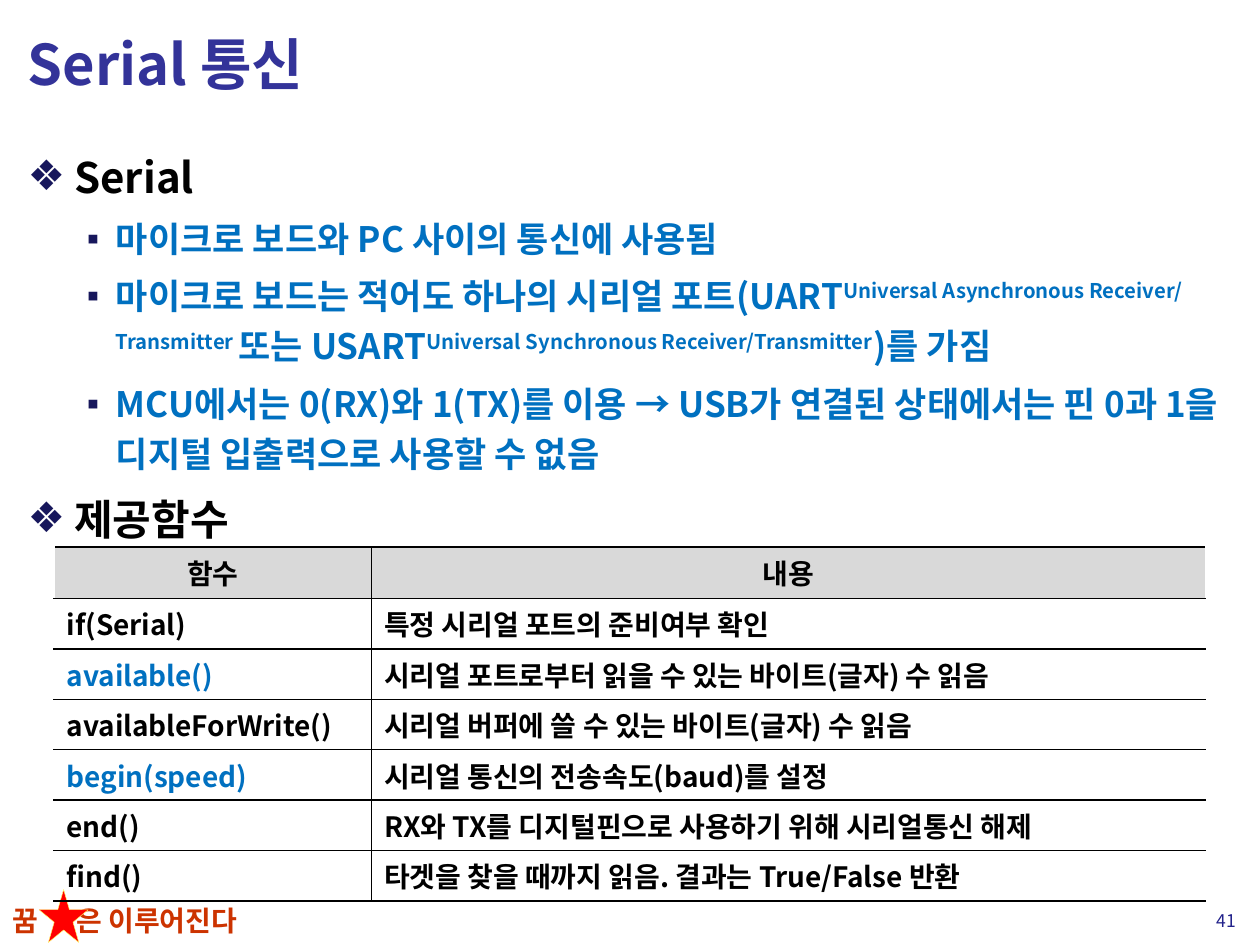
from lxml import etree
from pptx import Presentation
from pptx.dml.color import RGBColor
from pptx.enum.shapes import MSO_SHAPE
from pptx.enum.text import MSO_ANCHOR, MSO_AUTO_SIZE, PP_ALIGN
from pptx.oxml.ns import qn
from pptx.util import Inches, Pt

FONT = "Noto Sans CJK KR"
COLORS = {
    "title": "333399", "text": "000000", "accent": "0070C0", "bullet": "17175C",
    "slogan": "CC3300", "number": "22228B", "header": "D9D9D9",
    "star": "FF0000", "star_line": "FFFF66", "line": "000000", "edge": "FFFFFF",
}
TITLE = "Serial 통신"
# (level, runs); each run is (text, is superscript), "\n" ends a line
BODY = [
    (0, [("Serial", False)]),
    (1, [("마이크로 보드와 PC 사이의 통신에 사용됨", False)]),
    (1, [("마이크로 보드는 적어도 하나의 시리얼 포트(UART", False),
         ("Universal Asynchronous Receiver/\nTransmitter ", True),
         ("또는 USART", False),
         ("Universal Synchronous Receiver/Transmitter", True),
         (")를 가짐", False)]),
    (1, [("MCU에서는 0(RX)와 1(TX)를 이용 → USB가 연결된 상태에서는 "
          "핀 0과 1을 디지털 입출력으로 사용할 수 없음", False)]),
    (0, [("제공함수", False)]),
]
LEVELS = [
    {"bullet": "❖", "left": 0.37, "hang": 0.37, "size": 24, "color": "text"},
    {"bullet": "▪", "left": 0.7, "hang": 0.23, "size": 20, "color": "accent"},
]
FUNCTIONS = [
    ("함수", "내용"),
    ("if(Serial)", "특정 시리얼 포트의 준비여부 확인"),
    ("available()", "시리얼 포트로부터 읽을 수 있는 바이트(글자) 수 읽음"),
    ("availableForWrite()", "시리얼 버퍼에 쓸 수 있는 바이트(글자) 수 읽음"),
    ("begin(speed)", "시리얼 통신의 전송속도(baud)를 설정"),
    ("end()", "RX와 TX를 디지털핀으로 사용하기 위해 시리얼통신 해제"),
    ("find()", "타겟을 찾을 때까지 읽음. 결과는 True/False 반환"),
]
HIGHLIGHTED = {"available()", "begin(speed)"}
COLUMN_WIDTHS = (2.52, 6.62)
HEADER_HEIGHT, ROW_HEIGHT = 0.41, 0.4
SLOGAN = [("꿈", 0, 0.5), ("은 이루어진다", 0.51, 1.97)]


def rgb(name):
    return RGBColor.from_string(COLORS[name])


def box(left, top, width, height):
    return [Inches(v) for v in (left, top, width, height)]


def add_text(p, text, size=16, color="text", bold=True, raised=False):
    """Add text as runs without pair kerning, one run per line."""
    for i, line in enumerate(text.split("\n")):
        if i:
            p.add_line_break()
        r = p.add_run()
        r.text = line
        font = r.font
        font.name, font.size, font.bold = FONT, Pt(size), bold
        font.color.rgb = rgb(color)
        rPr = font._element
        rPr.set("kern", "0")
        rPr.find(qn("a:latin")).addnext(etree.Element(qn("a:ea"), typeface=FONT))
        if raised:
            rPr.set("baseline", "30000")


def set_bullet(p, level):
    pPr = p._p.get_or_add_pPr()
    pPr.set("marL", str(Inches(level["left"])))
    pPr.set("indent", str(-Inches(level["hang"])))
    color = etree.SubElement(pPr, qn("a:buClr"))
    etree.SubElement(color, qn("a:srgbClr"), val=COLORS["bullet"])
    etree.SubElement(pPr, qn("a:buChar"), char=level["bullet"])


def set_borders(cell, **sides):
    tcPr = cell._tc.get_or_add_tcPr()
    for side in "LRTB":
        ln = etree.SubElement(tcPr, qn(f"a:ln{side}"), w=str(Pt(1)))
        fill = etree.SubElement(ln, qn("a:solidFill"))
        etree.SubElement(fill, qn("a:srgbClr"), val=COLORS[sides.get(side, "line")])


def add_label(s, area, text, align=PP_ALIGN.LEFT, **fmt):
    tf = s.shapes.add_textbox(*box(*area)).text_frame
    tf.word_wrap = True
    tf.vertical_anchor = MSO_ANCHOR.MIDDLE
    p = tf.paragraphs[0]
    p.alignment = align
    add_text(p, text, **fmt)


def place(sp, area, anchor):
    sp.left, sp.top, sp.width, sp.height = box(*area)
    tf = sp.text_frame
    tf.auto_size = MSO_AUTO_SIZE.NONE
    tf.vertical_anchor = anchor
    return tf


def fill_body(tf):
    for i, (depth, runs) in enumerate(BODY):
        level = LEVELS[depth]
        p = tf.paragraphs[0] if i == 0 else tf.add_paragraph()
        p.level = depth
        set_bullet(p, level)
        p.line_spacing = 1.2
        p.space_before = Pt(0.2 * level["size"] if i else 0)
        for text, raised in runs:
            add_text(p, text, size=level["size"], color=level["color"], raised=raised)


def add_function_table(s):
    heights = [HEADER_HEIGHT] + [ROW_HEIGHT] * (len(FUNCTIONS) - 1)
    area = (0.43, 4.34, sum(COLUMN_WIDTHS), sum(heights))
    table = s.shapes.add_table(len(FUNCTIONS), 2, *box(*area)).table
    table.first_row = table.horz_banding = False
    for column, width in zip(table.columns, COLUMN_WIDTHS):
        column.width = Inches(width)
    for i, row in enumerate(FUNCTIONS):
        table.rows[i].height = Inches(heights[i])
        for j, text in enumerate(row):
            cell = table.cell(i, j)
            cell.margin_left = cell.margin_right = Inches(0.1)
            cell.margin_top = cell.margin_bottom = Inches(0.04)
            set_borders(cell, **{"LR"[j]: "edge"})
            if i == 0:
                cell.fill.solid()
                cell.fill.fore_color.rgb = rgb("header")
            else:
                cell.fill.background()
            p = cell.text_frame.paragraphs[0]
            p.alignment = PP_ALIGN.LEFT if i else PP_ALIGN.CENTER
            add_text(p, text, color="accent" if text in HIGHLIGHTED else "text")


def main():
    prs = Presentation()
    prs.slide_width, prs.slide_height = Inches(10), Inches(7.5)
    s = prs.slides.add_slide(prs.slide_layouts[1])

    title = place(s.shapes.title, (0.12, 0.06, 9.76, 0.88), MSO_ANCHOR.MIDDLE)
    title.paragraphs[0].alignment = PP_ALIGN.LEFT
    add_text(title.paragraphs[0], TITLE, size=32, color="title")
    fill_body(place(s.placeholders[1], (0.12, 1.07, 9.79, 6.04), MSO_ANCHOR.TOP))

    for text, left, width in SLOGAN:
        add_label(s, (left, 7.12, width, 0.37), text, color="slogan")
    star = s.shapes.add_shape(MSO_SHAPE.STAR_5_POINT, *box(0.31, 7.06, 0.39, 0.42))
    star.shadow.inherit = False
    star.fill.solid()
    star.fill.fore_color.rgb = rgb("star")
    star.line.color.rgb = rgb("star_line")
    star.line.width = Pt(0.25)

    add_label(s, (9.33, 7.15, 0.58, 0.31), "41", align=PP_ALIGN.RIGHT,
              size=10, color="number", bold=False)
    add_function_table(s)
    prs.save("out.pptx")


if __name__ == "__main__":
    main()
